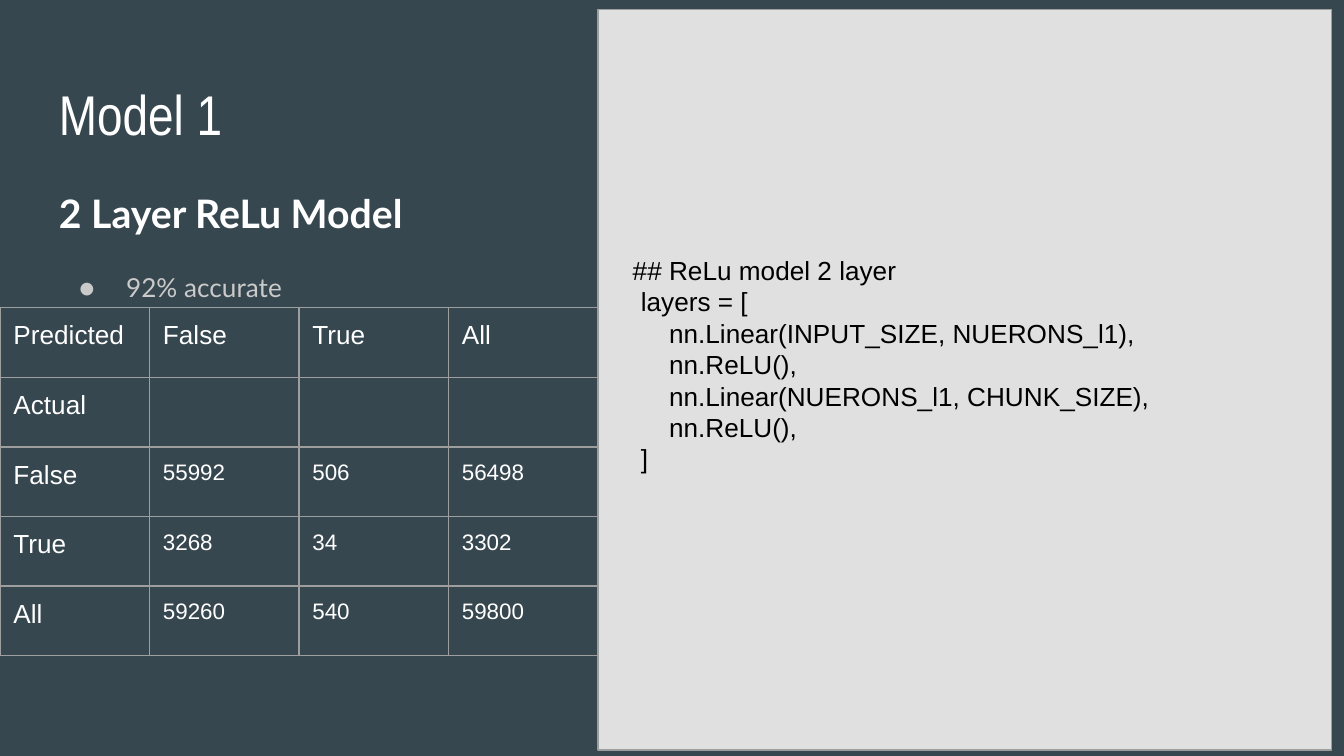
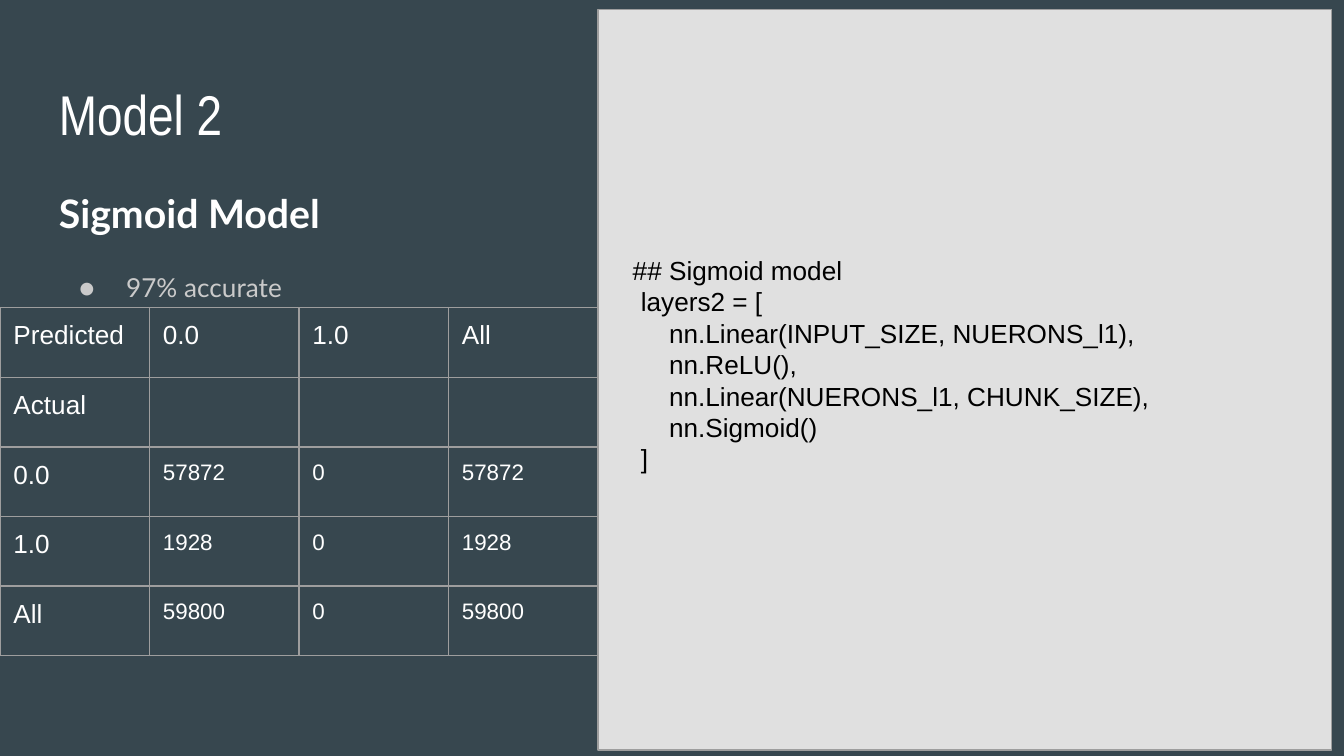
from dataclasses import dataclass

from lxml import etree
from pptx import Presentation
from pptx.dml.color import RGBColor
from pptx.enum.shapes import MSO_SHAPE
from pptx.enum.text import MSO_ANCHOR, PP_ALIGN
from pptx.oxml.ns import qn
from pptx.slide import Slide
from pptx.table import _Cell
from pptx.text.text import TextFrame, _Paragraph
from pptx.util import Inches, Pt

RECTANGLE = MSO_SHAPE.RECTANGLE
TOP, MIDDLE = MSO_ANCHOR.TOP, MSO_ANCHOR.MIDDLE
LEFT = PP_ALIGN.LEFT

SLATE = RGBColor(0x37, 0x47, 0x4F)
PANEL = RGBColor(0xE0, 0xE0, 0xE0)
RULE = RGBColor(0x9E, 0x9E, 0x9E)
MUTED = RGBColor(0xCA, 0xCA, 0xCA)
WHITE = RGBColor(0xFF, 0xFF, 0xFF)
BLACK = RGBColor(0x00, 0x00, 0x00)

SLIDE_WIDTH = Inches(10)
SLIDE_HEIGHT = SLIDE_WIDTH * 9 // 16
RULE_WIDTH = Pt(0.75)
INSET = Inches(0.1)
PANEL_LEFT = Inches(4.45)
TABLE_HEIGHT = Inches(2.59)
CODE_LEVELS = (0.16, 0.22, 0.43)  # comment, list brackets, list items


@dataclass(frozen=True)
class TextStyle:
    """Font settings of a run."""
    font: str
    size: float
    color: RGBColor
    bold: bool = False


TITLE = TextStyle("Arial Narrow", 30, WHITE)
HEADING = TextStyle("Lato", 21, WHITE, True)
BULLET = TextStyle("Lato", 14, MUTED)
CODE = TextStyle("Arial", 14, BLACK)
LABEL = TextStyle("Arial", 14, WHITE)
COUNT = TextStyle("Arial", 12, WHITE)


@dataclass(frozen=True)
class Model:
    """Everything that one model slide says."""
    title: str
    heading: str
    accuracy: str
    comment: str
    variable: str
    last_layer: str
    classes: tuple[str, str]
    counts: tuple[tuple[int, int, int], ...]


MODELS = (
    Model("Model 1", "2 Layer ReLu Model", "92% accurate",
          "## ReLu model 2 layer", "layers", "nn.ReLU(),", ("False", "True"),
          ((55992, 506, 56498), (3268, 34, 3302), (59260, 540, 59800))),
    Model("Model 2", "Sigmoid Model", "97% accurate",
          "## Sigmoid model", "layers2", "nn.Sigmoid()", ("0.0", "1.0"),
          ((57872, 0, 57872), (1928, 0, 1928), (59800, 0, 59800))),
)


def add_run(paragraph: _Paragraph, text: str, style: TextStyle) -> None:
    """Append a styled run."""
    run = paragraph.add_run()
    run.text = text
    run.font.name = style.font
    run.font.size = Pt(style.size)
    run.font.bold = style.bold
    run.font.color.rgb = style.color


def set_margins(target: TextFrame | _Cell) -> None:
    """Give a text frame or a cell equal insets."""
    target.margin_left = target.margin_right = INSET
    target.margin_top = target.margin_bottom = INSET


def set_indent(paragraph: _Paragraph, left: float, first: float = 0) -> None:
    """Set left margin and first-line indent in inches."""
    properties = paragraph._p.get_or_add_pPr()
    properties.set("marL", str(Inches(left)))
    properties.set("indent", str(Inches(first)))


def add_bullet(paragraph: _Paragraph, style: TextStyle) -> None:
    """Put a round bullet before a paragraph."""
    properties = paragraph._p.get_or_add_pPr()
    bullet_color = etree.SubElement(properties, qn("a:buClr"))
    etree.SubElement(bullet_color, qn("a:srgbClr"), val=str(style.color))
    etree.SubElement(properties, qn("a:buFont"), typeface=style.font)
    etree.SubElement(properties, qn("a:buChar"), char="●")


def add_text_box(slide: Slide, left: float, top: float, width: float,
                 height: float) -> TextFrame:
    """Add a wrapping text box and return its frame."""
    box = slide.shapes.add_textbox(Inches(left), Inches(top),
                                   Inches(width), Inches(height))
    frame = box.text_frame
    frame.word_wrap = True
    frame.vertical_anchor = TOP
    set_margins(frame)
    return frame


def add_code_panel(slide: Slide, model: Model) -> None:
    """Draw the light panel with the layer code."""
    panel = slide.shapes.add_shape(RECTANGLE, PANEL_LEFT, Inches(0.07),
                                   Inches(5.46), Inches(5.51))
    panel.shadow.inherit = False
    panel.fill.solid()
    panel.fill.fore_color.rgb = PANEL
    panel.line.color.rgb = RULE
    panel.line.width = RULE_WIDTH
    frame = panel.text_frame
    frame.word_wrap = True
    frame.vertical_anchor = MIDDLE
    set_margins(frame)
    frame.margin_bottom = Inches(0.33)  # lifts the code half a line
    lines = (
        (0, model.comment),
        (1, f"{model.variable} = ["),
        (2, "nn.Linear(INPUT_SIZE, NUERONS_l1),"),
        (2, "nn.ReLU(),"),
        (2, "nn.Linear(NUERONS_l1, CHUNK_SIZE),"),
        (2, model.last_layer),
        (1, "]"),
    )
    for index, (level, text) in enumerate(lines):
        paragraph = frame.add_paragraph() if index else frame.paragraphs[0]
        paragraph.alignment = LEFT
        set_indent(paragraph, CODE_LEVELS[level])
        add_run(paragraph, text, CODE)


def add_headings(slide: Slide, model: Model) -> None:
    """Add the title, the model name and its accuracy."""
    title = add_text_box(slide, 0.34, 0.49, 9.32, 0.63)
    add_run(title.paragraphs[0], model.title, TITLE)

    body = add_text_box(slide, 0.34, 1.26, 3.99, 3.74)
    heading = body.paragraphs[0]
    heading.line_spacing = 1.15
    add_run(heading, model.heading, HEADING)
    accuracy = body.add_paragraph()
    accuracy.line_spacing = 1.15
    accuracy.space_before = Pt(16)
    set_indent(accuracy, 0.5, -0.35)
    add_bullet(accuracy, BULLET)
    add_run(accuracy, model.accuracy, BULLET)


def style_cell(cell: _Cell) -> None:
    """Give a cell thin borders, insets and no fill."""
    set_margins(cell)
    properties = cell._tc.get_or_add_tcPr()
    for side in ("a:lnL", "a:lnR", "a:lnT", "a:lnB"):
        border = etree.SubElement(properties, qn(side), w=str(RULE_WIDTH))
        fill = etree.SubElement(border, qn("a:solidFill"))
        etree.SubElement(fill, qn("a:srgbClr"), val=str(RULE))
    cell.fill.background()


def add_confusion_table(slide: Slide, model: Model) -> None:
    """Add the table of predicted against actual classes, up to the panel."""
    names = (*model.classes, "All")
    rows = [("Predicted", *names), ("Actual", "", "", "")]
    rows += [(name, *counts) for name, counts in zip(names, model.counts)]
    column_count = len(rows[0])
    table = slide.shapes.add_table(
        len(rows), column_count, Inches(0), Inches(2.29),
        PANEL_LEFT, TABLE_HEIGHT).table
    table.first_row = table.horz_banding = False
    for column in table.columns:
        column.width = PANEL_LEFT // column_count
    for row, values in zip(table.rows, rows):
        row.height = TABLE_HEIGHT // len(rows)
        for cell, value in zip(row.cells, values):
            style_cell(cell)
            paragraph = cell.text_frame.paragraphs[0]
            if isinstance(value, int):
                paragraph.space_after = Pt(12)
                add_run(paragraph, str(value), COUNT)
            elif value:
                add_run(paragraph, value, LABEL)
            else:
                paragraph.font.size = Pt(LABEL.size)


def add_model_slide(presentation: Presentation, model: Model) -> None:
    """Build one model slide on the blank layout."""
    slide = presentation.slides.add_slide(presentation.slide_layouts[6])
    slide.background.fill.solid()
    slide.background.fill.fore_color.rgb = SLATE
    add_code_panel(slide, model)
    add_headings(slide, model)
    add_confusion_table(slide, model)


def main() -> None:
    """Build and save the presentation."""
    presentation = Presentation()
    presentation.slide_width = SLIDE_WIDTH
    presentation.slide_height = SLIDE_HEIGHT
    for model in MODELS:
        add_model_slide(presentation, model)
    presentation.save("out.pptx")


main()
